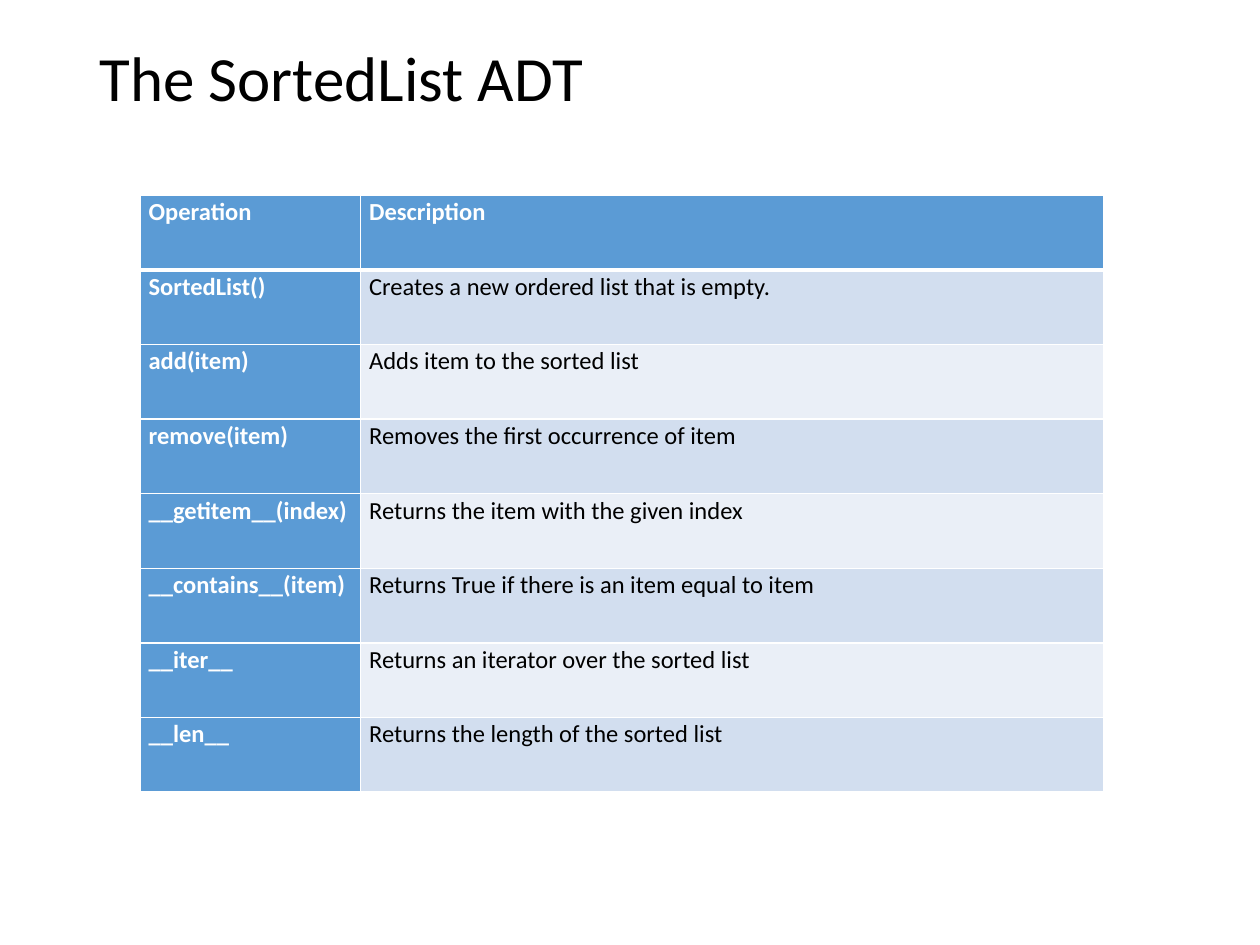
from lxml import etree
from pptx import Presentation
from pptx.dml.color import RGBColor
from pptx.enum.text import MSO_ANCHOR, PP_ALIGN
from pptx.oxml.ns import qn
from pptx.util import Inches, Pt

LEFT = PP_ALIGN.LEFT
MIDDLE = MSO_ANCHOR.MIDDLE
TITLE_ONLY = 5
FONT = "Calibri"
COLORS = {
    "ink": "000000",
    "paper": "FFFFFF",
    "accent": "5B9BD5",
    "odd_band": "D2DEEF",
    "even_band": "EAEFF7",
}
OPERATIONS = [
    ("Operation", "Description"),
    ("SortedList()", "Creates a new ordered list that is empty."),
    ("add(item)", "Adds item to the sorted list"),
    ("remove(item)", "Removes the first occurrence of item"),
    ("__getitem__(index)", "Returns the item with the given index"),
    ("__contains__(item)", "Returns True if there is an item equal to item"),
    ("__iter__", "Returns an iterator over the sorted list"),
    ("__len__", "Returns the length of the sorted list"),
]


def color(name):
    return RGBColor.from_string(COLORS[name])


def format_text(frame, size, ink, bold, spacing):
    paragraph = frame.paragraphs[0]
    paragraph.alignment = LEFT
    paragraph.line_spacing = spacing
    font = paragraph.runs[0].font
    font.name = FONT
    font.size = Pt(size)
    font.bold = bold
    font.color.rgb = color(ink)


def set_border(cell, side, width):
    properties = cell._tc.get_or_add_tcPr()
    line = etree.SubElement(properties, qn(f"a:ln{side}"), w=str(Pt(width)))
    fill = etree.SubElement(line, qn("a:solidFill"))
    etree.SubElement(fill, qn("a:srgbClr"), val=COLORS["paper"])


def add_title(slide, left, top, width, height):
    title = slide.shapes.title
    title.left, title.top, title.width, title.height = left, top, width, height
    title.text_frame.text = "The SortedList ADT"
    title.text_frame.word_wrap = True
    title.text_frame.vertical_anchor = MIDDLE
    format_text(title.text_frame, 36, "ink", False, 0.9)


def format_cell(cell, text, row, column):
    is_heading = row == 0 or column == 0
    band = "odd_band" if row % 2 else "even_band"
    cell.margin_left = cell.margin_right = Inches(0.07)
    cell.margin_top = cell.margin_bottom = 0
    cell.text_frame.text = text
    format_text(cell.text_frame, 14, "paper" if is_heading else "ink", is_heading, 1.07)
    widths = {"L": 1, "R": 1, "T": 3 if row == 1 else 1, "B": 3 if row == 0 else 1}
    for side, width in widths.items():
        set_border(cell, side, width)
    cell.fill.solid()
    cell.fill.fore_color.rgb = color("accent" if is_heading else band)


def add_operations(slide, left, top, width, height):
    operations = slide.shapes.add_table(
        len(OPERATIONS), 2, left, top, width, height
    ).table
    name_width = Inches(1.75)
    operations.columns[0].width = name_width
    operations.columns[1].width = width - name_width
    for row, texts in enumerate(OPERATIONS):
        for column, text in enumerate(texts):
            format_cell(operations.cell(row, column), text, row, column)


def main():
    deck = Presentation()
    deck.slide_width, deck.slide_height = Inches(10), Inches(7.5)
    slide = deck.slides.add_slide(deck.slide_layouts[TITLE_ONLY])
    add_title(slide, Inches(0.69), Inches(0.03), Inches(8.62), Inches(1.23))
    add_operations(slide, Inches(1.11), Inches(1.55), Inches(7.65), Inches(4.74))
    deck.save("out.pptx")


if __name__ == "__main__":
    main()
